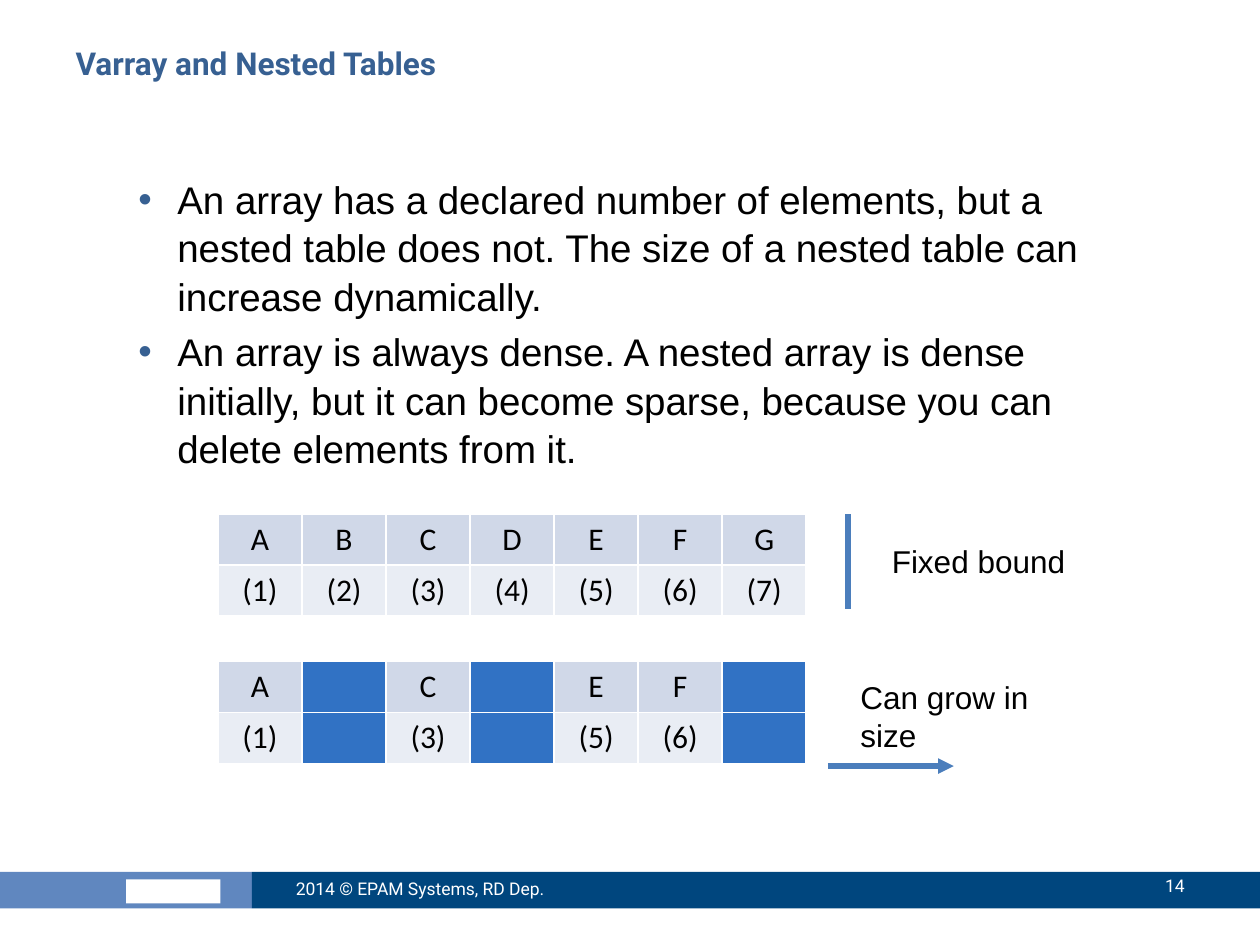
from dataclasses import dataclass

from lxml import etree
from pptx import Presentation
from pptx.dml.color import RGBColor
from pptx.enum.shapes import MSO_CONNECTOR, MSO_SHAPE
from pptx.enum.text import MSO_ANCHOR, PP_ALIGN
from pptx.oxml.ns import qn
from pptx.util import Inches, Pt

RECTANGLE = MSO_SHAPE.RECTANGLE
STRAIGHT = MSO_CONNECTOR.STRAIGHT
TOP, MIDDLE = MSO_ANCHOR.TOP, MSO_ANCHOR.MIDDLE
LEFT, CENTER, RIGHT = PP_ALIGN.LEFT, PP_ALIGN.CENTER, PP_ALIGN.RIGHT


@dataclass(frozen=True)
class Theme:
    heading: str = "376092"
    ink: str = "000000"
    white: str = "FFFFFF"
    footer_light: str = "6087BF"
    footer_dark: str = "00467E"
    value_row: str = "D0D8E8"
    index_row: str = "E9EDF4"
    deleted: str = "3172C4"
    marker: str = "4B7EBC"
    heading_font: str = "Roboto"
    body_font: str = "Arial"
    table_font: str = "Calibri"
    title_size: int = 18
    body_size: int = 22
    label_size: int = 18
    footer_size: int = 10


THEME = Theme()
TITLE_TEXT = {"name": THEME.heading_font, "size": Pt(THEME.title_size),
              "bold": True, "color": THEME.heading}
BODY_TEXT = {"name": THEME.body_font, "size": Pt(THEME.body_size), "color": THEME.ink}
LABEL_TEXT = {**BODY_TEXT, "size": Pt(THEME.label_size)}
CELL_TEXT = {**LABEL_TEXT, "name": THEME.table_font}
FOOTER_TEXT = {"name": THEME.heading_font, "size": Pt(THEME.footer_size),
               "color": THEME.white}

POINTS = [
    "An array has a declared number of elements, but a nested table does not. "
    "The size of a nested table can increase dynamically.",
    "An array is always dense. A nested array is dense initially, but it can become "
    "sparse, because you can delete elements from it.",
]
ELEMENTS = "ABCDEFG"
DELETED_ELEMENTS = "BDG"


def inches(box):
    return [Inches(length) for length in box]


def write(paragraph, text, style, align=LEFT):
    paragraph.alignment = align
    run = paragraph.add_run()
    run.text = text
    for attribute, value in style.items():
        if attribute == "color":
            run.font.color.rgb = RGBColor.from_string(value)
        else:
            setattr(run.font, attribute, value)


def paint(target, color):
    target.fill.solid()
    target.fill.fore_color.rgb = RGBColor.from_string(color)


def add_title(slide, box, text):
    title = slide.shapes.title
    title.left, title.top, title.width, title.height = inches(box)
    title.text_frame.vertical_anchor = TOP
    write(title.text_frame.paragraphs[0], text, TITLE_TEXT)


def add_label(slide, box, text, style, align=LEFT, anchor=TOP):
    frame = slide.shapes.add_textbox(*inches(box)).text_frame
    frame.word_wrap = True
    frame.vertical_anchor = anchor
    write(frame.paragraphs[0], text, style, align)


def set_bullet(paragraph):
    properties = paragraph._p.get_or_add_pPr()
    properties.set("marL", str(Inches(0.31)))
    properties.set("indent", str(-Inches(0.31)))
    color = etree.SubElement(properties, qn("a:buClr"))
    etree.SubElement(color, qn("a:srgbClr"), val=THEME.heading)
    etree.SubElement(properties, qn("a:buFont"), typeface=THEME.body_font)
    etree.SubElement(properties, qn("a:buChar"), char="•")


def add_points(slide, box, points):
    frame = slide.shapes.add_textbox(*inches(box)).text_frame
    frame.word_wrap = True
    for position, point in enumerate(points):
        paragraph = frame.add_paragraph() if position else frame.paragraphs[0]
        set_bullet(paragraph)
        paragraph.line_spacing = 1.05
        if position:
            paragraph.space_before = Pt(4)
        write(paragraph, point, BODY_TEXT)


def set_borders(cell, color):
    properties = cell._tc.get_or_add_tcPr()
    for position, side in enumerate(("a:lnL", "a:lnR", "a:lnT", "a:lnB")):
        border = etree.Element(qn(side), w=str(Pt(1)))
        fill = etree.SubElement(border, qn("a:solidFill"))
        etree.SubElement(fill, qn("a:srgbClr"), val=color)
        properties.insert(position, border)


def add_collection(slide, box, deleted=""):
    """Show each element above its index, with deleted elements as solid cells."""
    table = slide.shapes.add_table(2, len(ELEMENTS), *inches(box)).table
    table.first_row = table.horz_banding = False
    for column, element in enumerate(ELEMENTS):
        entries = ((element, THEME.value_row), (f"({column + 1})", THEME.index_row))
        for row, (text, color) in enumerate(entries):
            cell = table.cell(row, column)
            cell.vertical_anchor = MIDDLE
            set_borders(cell, THEME.white)
            if element in deleted:
                paint(cell, THEME.deleted)
            else:
                paint(cell, color)
                write(cell.text_frame.paragraphs[0], text, CELL_TEXT, CENTER)


def add_marker(slide, start, end, arrow=False):
    marker = slide.shapes.add_connector(STRAIGHT, *inches(start + end))
    marker.line.width = Pt(3)
    marker.line.color.rgb = RGBColor.from_string(THEME.marker)
    if arrow:
        etree.SubElement(marker.line._get_or_add_ln(), qn("a:tailEnd"), type="triangle")
    etree.SubElement(marker._element.spPr, qn("a:effectLst"))


def add_block(slide, box, color):
    block = slide.shapes.add_shape(RECTANGLE, *inches(box))
    block.shadow.inherit = False
    paint(block, color)
    block.line.fill.background()


def add_footer(slide, box, copyright_line, number):
    left, top, width, height = box
    split = left + 2
    add_block(slide, (left, top, 2, height), THEME.footer_light)
    add_block(slide, (left + 1, top + 0.06, 0.75, 0.19), THEME.white)
    add_block(slide, (split, top, width - 2, height), THEME.footer_dark)
    add_label(slide, (split + 0.25, top - 0.07, 2.67, 0.4), copyright_line,
              FOOTER_TEXT, anchor=MIDDLE)
    add_label(slide, (left + width - 1.58, top - 0.09, 1.08, 0.4), number,
              FOOTER_TEXT, RIGHT, MIDDLE)


def add_varray(slide, box):
    left, top, width, _ = box
    add_collection(slide, box)
    bound = left + width + 0.33
    add_marker(slide, (bound, top), (bound, top + 0.75))
    add_label(slide, (bound + 0.25, top + 0.17, 1.93, 0.4), "Fixed bound", LABEL_TEXT)


def add_nested_table(slide, box):
    left, top, width, _ = box
    add_collection(slide, box, DELETED_ELEMENTS)
    right, base = left + width, top + 0.83
    add_marker(slide, (right + 0.17, base), (right + 1.17, base), arrow=True)
    add_label(slide, (right + 0.33, top + 0.08, 1.75, 0.71), "Can grow in size",
              LABEL_TEXT)


def main():
    presentation = Presentation()
    presentation.slide_width, presentation.slide_height = Inches(10), Inches(7.5)
    slide = presentation.slides.add_slide(presentation.slide_layouts[5])
    add_footer(slide, (0, 6.92, 10, 0.29), "2014 © EPAM Systems, RD Dep.", "14")
    add_title(slide, (0.5, 0.3, 9, 0.78), "Varray and Nested Tables")
    add_points(slide, (1, 1.33, 8, 2.5), POINTS)
    add_varray(slide, (1.73, 4.08, 4.67, 0.81))
    add_nested_table(slide, (1.73, 5.25, 4.67, 0.81))
    presentation.save("out.pptx")


if __name__ == "__main__":
    main()
